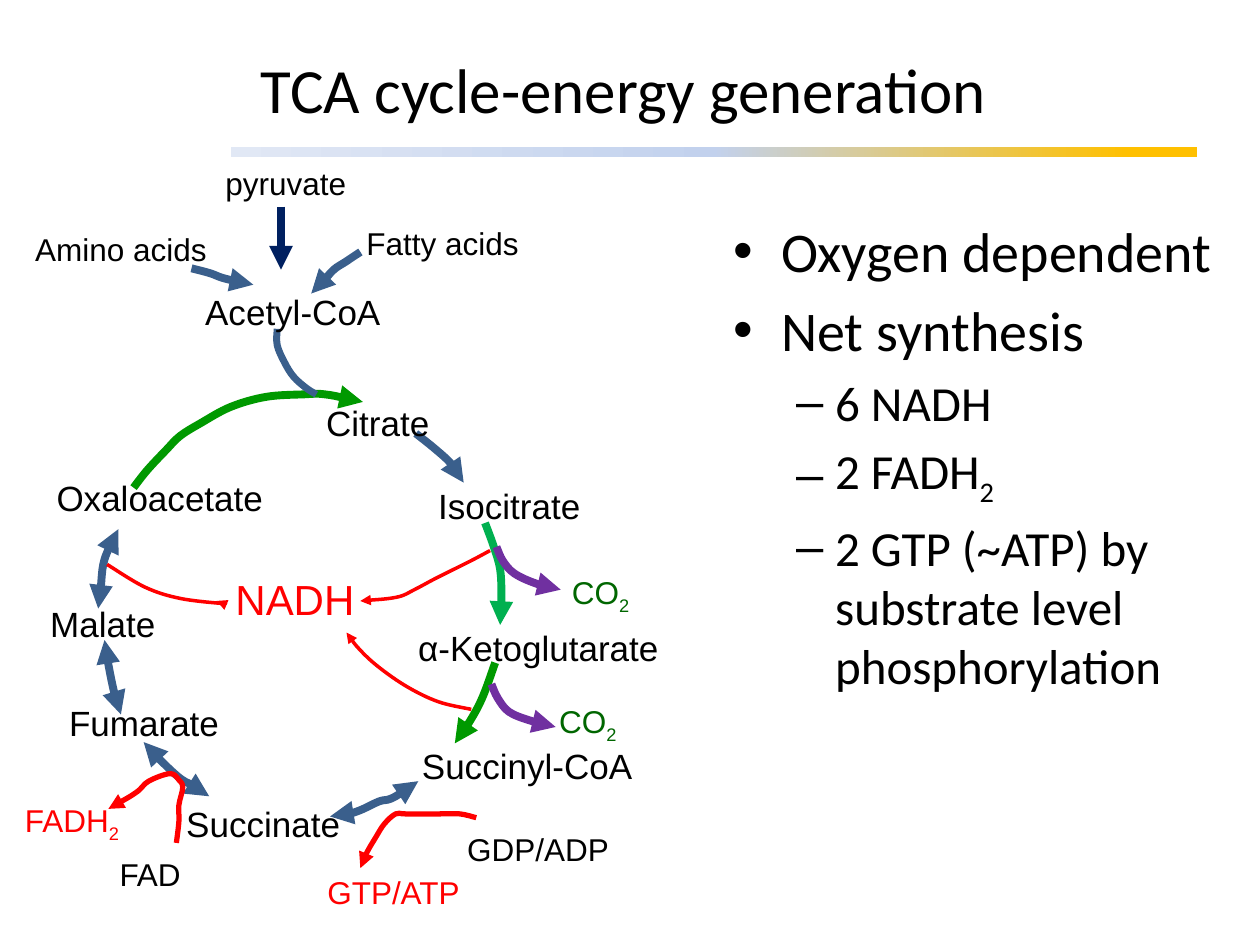
from copy import deepcopy
from lxml import etree
from pptx import Presentation
from pptx.dml.color import RGBColor
from pptx.enum.shapes import MSO_CONNECTOR, MSO_SHAPE
from pptx.enum.text import MSO_ANCHOR, PP_ALIGN
from pptx.oxml.ns import qn
from pptx.util import Inches, Pt

STRAIGHT = MSO_CONNECTOR.STRAIGHT
RECT = MSO_SHAPE.RECTANGLE
MIDDLE = MSO_ANCHOR.MIDDLE
CENTER = PP_ALIGN.CENTER
BLACK, RED, BLUE, GREEN = "000000", "FF0000", "3A5F8C", "009900"
LIME, PURPLE, NAVY, LEAF = "00B050", "7030A0", "002060", "006600"


def paint(color, code):
    color.rgb = RGBColor.from_string(code)


def add_run(para, text, font, size, code, sub=False):
    run = para.add_run()
    run.text = text
    run.font.name = font
    run.font.size = Pt(size)
    paint(run.font.color, code)
    if sub:
        run.font._element.set("baseline", "-25000")


prs = Presentation()
prs.slide_width, prs.slide_height = Inches(10), Inches(7.5)
slide = prs.slides.add_slide(prs.slide_layouts[5])
shapes = slide.shapes

bar = shapes.add_shape(RECT, Inches(1.83), Inches(1.17), Inches(7.67), Inches(0.08))
bar.shadow.inherit = False
bar.line.fill.background()
bar.fill.gradient()
bar.fill.gradient_angle = 0
first = bar.fill.gradient_stops[0]._gs
first.addnext(deepcopy(first))
stops = [(0, "E1E8F5"), (0.5, "C2D1ED"), (0.93, "FFC000")]
for stop, (pos, code) in zip(bar.fill.gradient_stops, stops):
    stop.position = pos
    paint(stop.color, code)

title = shapes.title
title.left, title.top = Inches(0.45), Inches(0.08)
title.width, title.height = Inches(9), Inches(1.25)
title.text_frame.vertical_anchor = MIDDLE
para = title.text_frame.paragraphs[0]
para.alignment = CENTER
add_run(para, "TCA cycle-energy generation", "Calibri", 36, BLACK)

body = shapes.add_textbox(Inches(5.72), Inches(1.67), Inches(4.28), Inches(5.61))
frame = body.text_frame
frame.word_wrap = True
points = [
    (0, "Oxygen dependent", ""),
    (0, "Net synthesis", ""),
    (1, "6 NADH", ""),
    (1, "2 FADH", "2"),
    (1, "2 GTP (~ATP) by substrate level phosphorylation", ""),
]
for num, (level, text, sub) in enumerate(points):
    para = frame.add_paragraph() if num else frame.paragraphs[0]
    size, left, hang, mark = [(32, 0.38, 0.38, "•"), (28, 0.81, 0.31, "–")][level]
    para.level = level
    if num:
        para.space_before = Pt(size * 0.2)
    props = para._p.get_or_add_pPr()
    props.set("marL", str(Inches(left)))
    props.set("indent", str(-Inches(hang)))
    etree.SubElement(props, qn("a:buFont")).set("typeface", "Arial")
    etree.SubElement(props, qn("a:buChar")).set("char", mark)
    add_run(para, text, "Calibri", size, BLACK)
    if sub:
        add_run(para, sub, "Calibri", size, BLACK, True)

arrows = [
    (GREEN, 4.5, "tail", [(1.06, 3.87), (1.17, 3.73), (1.32, 3.57), (1.43, 3.46), (1.59, 3.36),
                          (1.83, 3.23), (2.11, 3.15), (2.41, 3.13), (2.58, 3.13), (2.88, 3.19)]),
    (BLUE, 4.5, "tail", [(3.3, 3.44), (3.45, 3.56), (3.58, 3.68), (3.68, 3.83)]),
    (LIME, 4.5, "tail", [(3.85, 4.15), (3.92, 4.34), (3.97, 4.52), (3.98, 4.74), (3.97, 4.96)]),
    (GREEN, 4.5, "tail", [(3.93, 5.26), (3.84, 5.51), (3.75, 5.69), (3.61, 5.9)]),
    (BLUE, 4.5, "head tail", [(3.32, 6.2), (3.22, 6.27), (3.1, 6.34), (3.01, 6.36),
                              (2.86, 6.43), (2.73, 6.47), (2.62, 6.48)]),
    (BLUE, 4.5, "head tail", [(1.66, 6.32), (1.54, 6.24), (1.42, 6.17), (1.25, 6.01), (1.14, 5.89)]),
    (BLUE, 4.5, "head tail", [(0.96, 5.67), (0.91, 5.51), (0.86, 5.27), (0.83, 5.08)]),
    (BLUE, 4.5, "head tail", [(0.78, 4.83), (0.8, 4.67), (0.82, 4.48), (0.87, 4.34), (0.94, 4.2)]),
    (BLUE, 4, "", [(2.2, 2.61), (2.2, 2.74), (2.26, 2.88), (2.33, 2.99), (2.43, 3.08), (2.51, 3.13)]),
    (BLUE, 4.5, "tail", [(2.86, 2), (2.74, 2.08), (2.65, 2.14), (2.56, 2.24), (2.47, 2.33)]),
    (BLUE, 4.5, "tail", [(1.52, 2.13), (1.67, 2.17), (1.78, 2.21), (2.01, 2.26)]),
    (PURPLE, 4.5, "tail", [(3.94, 4.34), (3.99, 4.45), (4.08, 4.55), (4.25, 4.63), (4.45, 4.68)]),
    (PURPLE, 4.5, "tail", [(3.9, 5.43), (3.95, 5.54), (4.04, 5.65), (4.21, 5.72), (4.41, 5.77)]),
    (RED, 2, "tail", [(3.89, 4.37), (3.74, 4.45), (3.46, 4.59), (3.29, 4.68), (3.15, 4.74), (2.86, 4.77)]),
    (RED, 2, "tail", [(3.74, 5.63), (3.48, 5.57), (3.23, 5.45), (3, 5.29), (2.85, 5.15), (2.75, 5.02)]),
    (RED, 2, "tail", [(0.85, 4.48), (1.15, 4.66), (1.43, 4.75), (1.77, 4.79), (1.72, 4.77)]),
    (RED, 3, "tail", [(1.4, 6.69), (1.42, 6.52), (1.42, 6.39), (1.45, 6.25), (1.42, 6.19),
                      (1.35, 6.14), (1.18, 6.2), (1.08, 6.29), (0.86, 6.42)]),
    (RED, 3, "tail", [(3.78, 6.49), (3.65, 6.46), (3.48, 6.46), (3.22, 6.46), (3.14, 6.46),
                      (3.05, 6.54), (2.98, 6.65), (2.91, 6.77), (2.86, 6.89)]),
]
for code, width, ends, spots in arrows:
    pad = [spots[0], *spots, spots[-1]]
    knots = []
    for a, b, c, d in zip(pad, pad[1:], pad[2:], pad[3:]):
        knots.append([q + (r - p) / 6 for p, q, r in zip(a, b, c)])
        knots.append([r - (s - q) / 6 for q, r, s in zip(b, c, d)])
        knots.append(c)
    pen = shapes.build_freeform(Inches(spots[0][0]), Inches(spots[0][1]))
    pen.add_line_segments([(Inches(x), Inches(y)) for x, y in knots], close=False)
    curve = pen.convert_to_shape()
    curve.shadow.inherit = False
    curve.fill.background()
    paint(curve.line.color, code)
    curve.line.width = Pt(width)
    legs = list(curve._element.iter(qn("a:lnTo")))
    for one, two, three in zip(legs[::3], legs[1::3], legs[2::3]):
        one.tag = qn("a:cubicBezTo")
        for leg in (two, three):
            one.append(leg[0])
            leg.getparent().remove(leg)
    for end in ends.split():
        etree.SubElement(curve.line._get_or_add_ln(), qn(f"a:{end}End")).set("type", "triangle")

drop = shapes.add_connector(STRAIGHT, Inches(2.23), Inches(1.64), Inches(2.23), Inches(2.14))
paint(drop.line.color, NAVY)
drop.line.width = Pt(4.5)
etree.SubElement(drop.line._get_or_add_ln(), qn("a:tailEnd")).set("type", "triangle")
etree.SubElement(drop._element.spPr, qn("a:effectLst"))

labels = [
    ("Acetyl-CoA", "", 1.53, 2.26, 1.77, 20, BLACK),
    ("Citrate", "", 2.49, 3.14, 1.77, 20, BLACK),
    ("Isocitrate", "", 3.38, 3.8, 1.77, 20, BLACK),
    ("α-Ketoglutarate", "", 3.22, 4.92, 2.12, 20, BLACK),
    ("Succinyl-CoA", "", 3.25, 5.86, 1.98, 20, BLACK),
    ("Succinate", "", 1.38, 6.32, 1.77, 20, BLACK),
    ("Fumarate", "", 0.45, 5.52, 1.77, 20, BLACK),
    ("Malate", "", 0.3, 4.73, 2.01, 20, BLACK),
    ("Oxaloacetate", "", 0.35, 3.73, 2.01, 20, BLACK),
    ("pyruvate", "", 1.69, 1.25, 1.38, 18, BLACK),
    ("Amino acids", "", 0.18, 1.78, 1.62, 18, BLACK),
    ("Fatty acids", "", 2.81, 1.73, 1.53, 18, BLACK),
    ("CO", "2", 4.44, 4.5, 1.06, 18, LEAF),
    ("CO", "2", 4.34, 5.52, 1.06, 18, LEAF),
    ("NADH", "", 1.77, 4.5, 1.31, 24, RED),
    ("FAD", "", 0.85, 6.74, 0.92, 18, BLACK),
    ("FADH", "2", 0.1, 6.31, 1.04, 18, RED),
    ("GDP/ADP", "", 3.61, 6.54, 1.55, 18, BLACK),
    ("GTP/ATP", "", 2.5, 6.88, 1.44, 18, RED),
]
tall = {18: 0.4, 20: 0.44, 24: 0.51}
for text, sub, x, y, width, size, code in labels:
    box = shapes.add_textbox(Inches(x), Inches(y), Inches(width), Inches(tall[size]))
    box.text_frame.word_wrap = True
    para = box.text_frame.paragraphs[0]
    add_run(para, text, "Arial", size, code)
    if sub:
        add_run(para, sub, "Arial", size, code, True)

prs.save("out.pptx")
